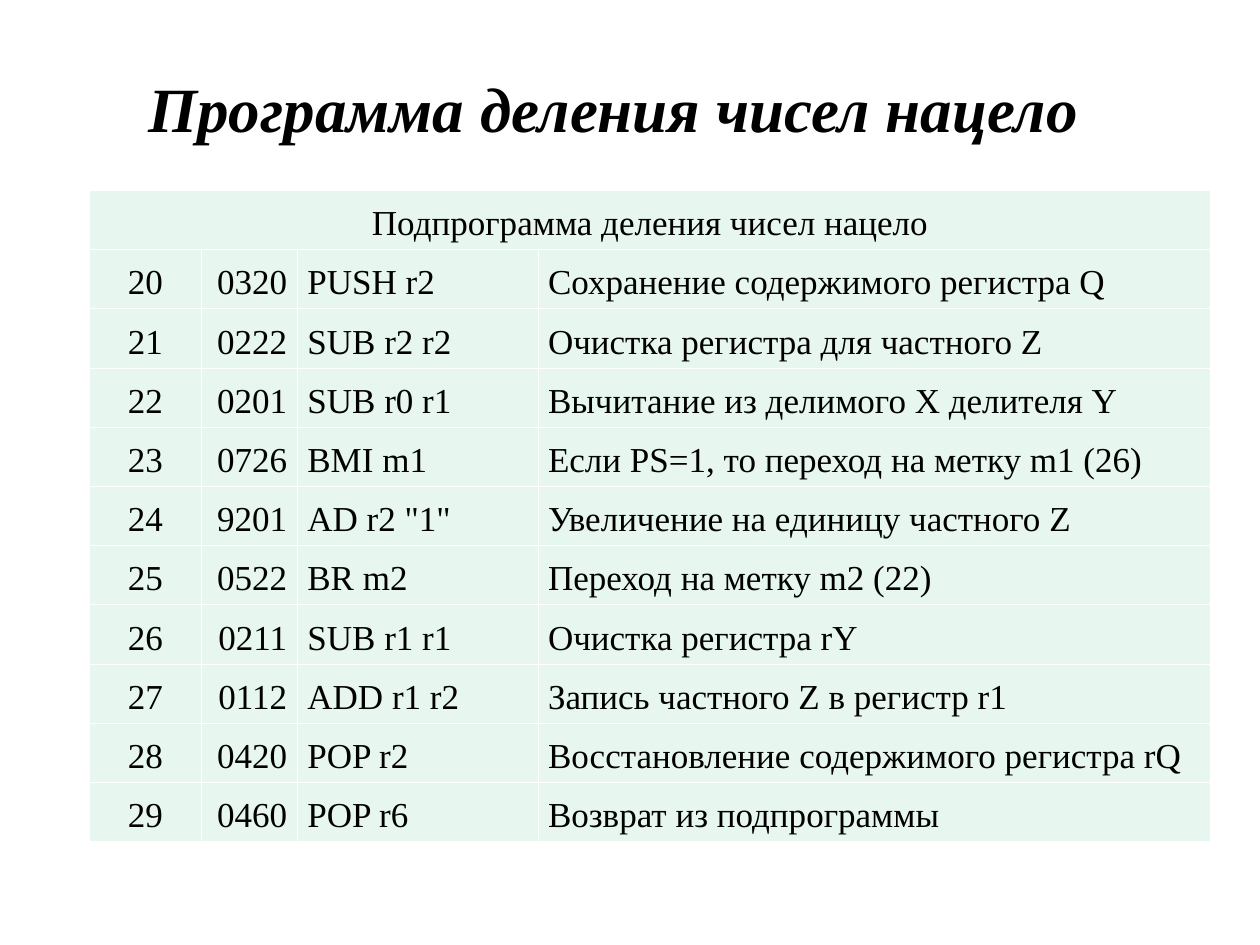
from lxml.etree import SubElement
from pptx import Presentation
from pptx.dml.color import RGBColor
from pptx.enum.text import MSO_ANCHOR, PP_ALIGN
from pptx.oxml.ns import qn
from pptx.util import Inches, Pt

COLORS = {"text": "000000", "cell": "E7F6EF", "border": "FFFFFF"}
FONT = "Times New Roman"
TITLE = "Программа деления чисел нацело"
TABLE_HEADING = "Подпрограмма деления чисел нацело"
COLUMN_WIDTHS = [0.89, 0.76, 1.91, 5.34]
COLUMN_ALIGNS = [PP_ALIGN.CENTER, PP_ALIGN.RIGHT, PP_ALIGN.JUSTIFY, PP_ALIGN.JUSTIFY]
ROW_HEIGHT = 0.42
COMMANDS = [
    ("20", "0320", "PUSH r2", "Сохранение содержимого регистра Q"),
    ("21", "0222", "SUB r2 r2", "Очистка регистра для частного Z"),
    ("22", "0201", "SUB r0 r1", "Вычитание из делимого X делителя Y"),
    ("23", "0726", "BMI m1", "Если PS=1, то переход на метку m1 (26)"),
    ("24", "9201", 'AD r2 "1"', "Увеличение на единицу частного Z"),
    ("25", "0522", "BR m2", "Переход на метку m2 (22)"),
    ("26", "0211", "SUB r1 r1", "Очистка регистра rY"),
    ("27", "0112", "ADD r1 r2", "Запись частного Z в регистр r1"),
    ("28", "0420", "POP r2", "Восстановление содержимого регистра rQ"),
    ("29", "0460", "POP r6", "Возврат из подпрограммы"),
]


def write_text(frame, text, size=20, align=PP_ALIGN.CENTER, spacing=None,
               bold=False, italic=False):
    paragraph = frame.paragraphs[0]
    paragraph.alignment = align
    paragraph.line_spacing = spacing
    run = paragraph.add_run()
    run.text = text
    run.font.name = FONT
    run.font.size = Pt(size)
    run.font.bold = bold
    run.font.italic = italic
    run.font.color.rgb = RGBColor.from_string(COLORS["text"])


def add_title(slide):
    title = slide.shapes.add_textbox(Inches(0.12), Inches(0.48), Inches(9.49), Inches(0.75))
    title.text_frame.word_wrap = True
    title.text_frame.vertical_anchor = MSO_ANCHOR.MIDDLE
    write_text(title.text_frame, TITLE, size=36, bold=True, italic=True)


def style_cell(cell):
    """Set margins, borders and fill; borders come before the fill in the XML."""
    cell.margin_left = cell.margin_right = Inches(0.08)
    cell.margin_top = cell.margin_bottom = Inches(0.05)
    properties = cell._tc.get_or_add_tcPr()
    for side in ("lnL", "lnR", "lnT", "lnB"):
        border = SubElement(properties, qn(f"a:{side}"), w=str(Pt(0.45)))
        border_fill = SubElement(border, qn("a:solidFill"))
        SubElement(border_fill, qn("a:srgbClr"), val=COLORS["border"])
    cell.fill.solid()
    cell.fill.fore_color.rgb = RGBColor.from_string(COLORS["cell"])


def add_command_table(slide):
    row_count = len(COMMANDS) + 1
    table = slide.shapes.add_table(
        row_count, len(COLUMN_WIDTHS), Inches(0.71), Inches(1.51),
        Inches(sum(COLUMN_WIDTHS)), Inches(ROW_HEIGHT * row_count)).table
    table.first_row = table.horz_banding = False
    for column, width in zip(table.columns, COLUMN_WIDTHS):
        column.width = Inches(width)
    for row in table.rows:
        row.height = Inches(ROW_HEIGHT)
    for cell in table.iter_cells():
        style_cell(cell)

    heading = table.cell(0, 0)
    heading.merge(table.cell(0, len(COLUMN_WIDTHS) - 1))
    write_text(heading.text_frame, TABLE_HEADING, spacing=1.2)
    for row_index, command in enumerate(COMMANDS, start=1):
        for column_index, (text, align) in enumerate(zip(command, COLUMN_ALIGNS)):
            write_text(table.cell(row_index, column_index).text_frame, text,
                       align=align, spacing=1.2)


def main():
    presentation = Presentation()
    presentation.slide_width = Inches(10)
    presentation.slide_height = Inches(7.5)
    slide = presentation.slides.add_slide(presentation.slide_layouts[6])
    add_command_table(slide)
    add_title(slide)
    presentation.save("out.pptx")


if __name__ == "__main__":
    main()
